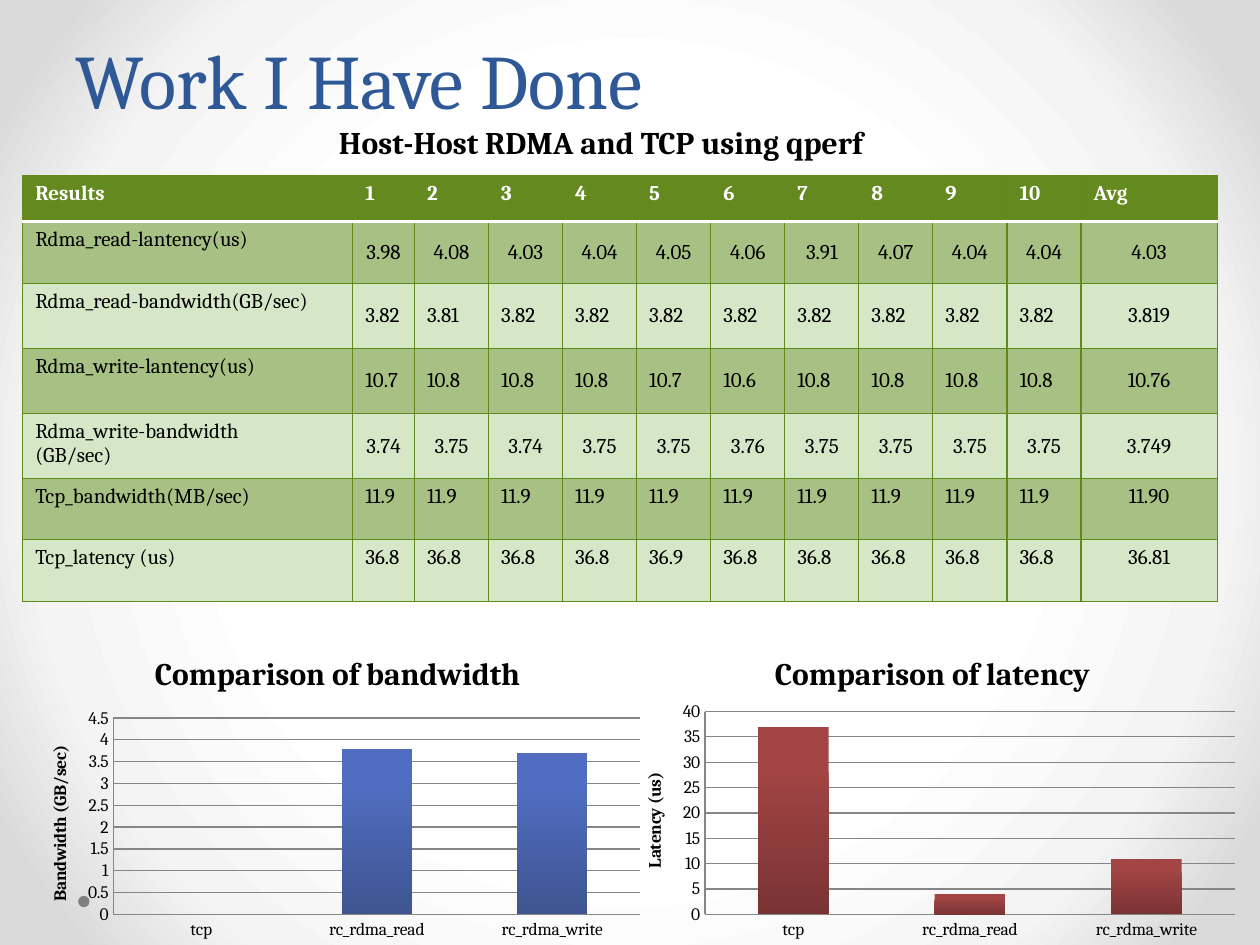
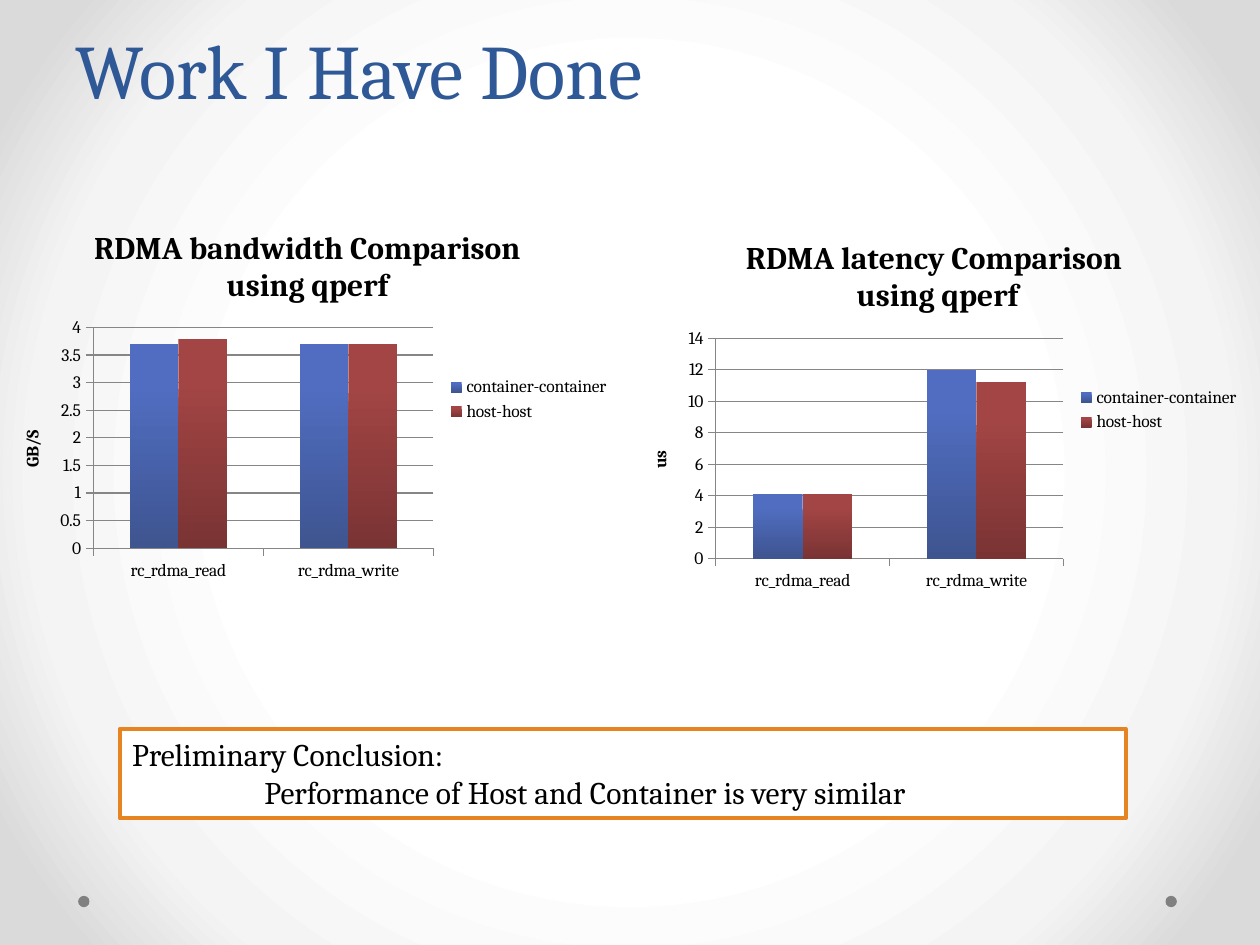
from lxml import etree
from pptx import Presentation
from pptx.chart.data import CategoryChartData
from pptx.dml.color import RGBColor
from pptx.enum.chart import XL_CHART_TYPE, XL_LEGEND_POSITION, XL_TICK_MARK
from pptx.enum.shapes import MSO_SHAPE
from pptx.enum.text import MSO_ANCHOR, PP_ALIGN
from pptx.oxml import parse_xml
from pptx.oxml.ns import nsdecls, qn
from pptx.util import Inches, Pt

COLUMN = XL_CHART_TYPE.COLUMN_CLUSTERED
LEGEND_RIGHT = XL_LEGEND_POSITION.RIGHT
TICK_NONE, TICK_OUT = XL_TICK_MARK.NONE, XL_TICK_MARK.OUTSIDE
RECT, OVAL = MSO_SHAPE.RECTANGLE, MSO_SHAPE.OVAL
TOP, MIDDLE, BOTTOM = MSO_ANCHOR.TOP, MSO_ANCHOR.MIDDLE, MSO_ANCHOR.BOTTOM
LEFT, CENTER = PP_ALIGN.LEFT, PP_ALIGN.CENTER

FONT = "Cambria"
BLACK = RGBColor(0x00, 0x00, 0x00)
WHITE = RGBColor(0xFF, 0xFF, 0xFF)
TITLE_BLUE = RGBColor(0x2F, 0x58, 0x97)
ORANGE = RGBColor(0xE6, 0x84, 0x22)
DOT_GRAY = RGBColor(0x80, 0x80, 0x80)
GRID_GRAY = RGBColor(0x86, 0x86, 0x86)
HEADER_GREEN = RGBColor(0x63, 0x89, 0x1F)
BORDER_GREEN = RGBColor(0x62, 0x89, 0x1C)
BAND_DARK = RGBColor(0xA7, 0xC1, 0x84)
BAND_LIGHT = RGBColor(0xD6, 0xE7, 0xC8)
BLUE_BARS = (RGBColor(0x50, 0x6D, 0xC1), RGBColor(0x3E, 0x55, 0x90))
RED_BARS = (RGBColor(0xA3, 0x45, 0x45), RGBColor(0x7A, 0x33, 0x33))
BACKGROUND_STOPS = {50: WHITE, 76: RGBColor(0xF4, 0xF4, 0xF4), 92: RGBColor(0xDA, 0xDA, 0xDA)}

# The slide is a grid of 100 columns and 75 rows
GRID_COLS, GRID_ROWS = 100, 75
CELL = Inches(0.1)

TABLE_COLS = [26.2, 4.9] + [5.88] * 9 + [10.8]
TABLE_ROWS = [3.7, 4.88, 5.16, 5.16, 5.16, 4.88, 4.88]
HEADER = ["Results", *map(str, range(1, 11)), "Avg"]
# label, ten runs and their average, cell format
RESULTS = [
    ("Rdma_read-lantency(us)", "3.98 4.08 4.03 4.04 4.05 4.06 3.91 4.07 4.04 4.04 4.03",
     {"anchor": MIDDLE, "compact": True, "spacing": 0.9}),
    ("Rdma_read-bandwidth(GB/sec)", "3.82 3.81" + " 3.82" * 8 + " 3.819", {"anchor": MIDDLE}),
    ("Rdma_write-lantency(us)",
     "10.7 10.8 10.8 10.8 10.7 10.6 10.8 10.8 10.8 10.8 10.76", {"anchor": MIDDLE}),
    ("Rdma_write-bandwidth\n(GB/sec)",
     "3.74 3.75 3.74 3.75 3.75 3.76 3.75 3.75 3.75 3.75 3.749",
     {"anchor": MIDDLE, "compact": True}),
    ("Tcp_bandwidth(MB/sec)", "11.9 " * 10 + "11.90", {}),
    ("Tcp_latency (us)", "36.8 " * 4 + "36.9 " + "36.8 " * 5 + "36.81", {}),
]
RDMA_TESTS = ["rc_rdma_read", "rc_rdma_write"]
ALL_TESTS = ["tcp", *RDMA_TESTS]


def grid(*cells):
    return [round(n * CELL) for n in cells]


def apply(target, values):
    for name, value in values.items():
        setattr(target, name, value)


def style_font(font, size, color=BLACK, bold=False):
    apply(font, {"name": FONT, "size": Pt(size), "bold": bold})
    font.color.rgb = color


def write(frame, text, size, color=BLACK, bold=False, **paragraph_format):
    frame.text = text
    for paragraph in frame.paragraphs:
        apply(paragraph, paragraph_format)
        style_font(paragraph.runs[0].font, size, color, bold)


def set_background(master):
    master.background.fill.solid()
    solid = master.element.xpath("p:cSld/p:bg/p:bgPr/a:solidFill")[0]
    stops = "".join(f'<a:gs pos="{share * 1000}"><a:srgbClr val="{color}"/></a:gs>'
                    for share, color in BACKGROUND_STOPS.items())
    radial = parse_xml(
        f'<a:gradFill {nsdecls("a")} rotWithShape="1"><a:gsLst>{stops}</a:gsLst>'
        '<a:path path="circle"><a:fillToRect l="50000" t="50000" r="50000" b="50000"/>'
        "</a:path></a:gradFill>")
    solid.getparent().replace(solid, radial)


def add_text(slide, area, text, size, anchor=TOP, **style):
    frame = slide.shapes.add_textbox(*grid(*area)).text_frame
    apply(frame, {"word_wrap": True, "vertical_anchor": anchor})
    write(frame, text, size, **style)


def add_panel(slide, preset, area, fill, line=None):
    panel = slide.shapes.add_shape(preset, *grid(*area))
    panel.shadow.inherit = False
    panel.fill.solid()
    panel.fill.fore_color.rgb = fill
    if line is None:
        panel.line.fill.background()
    else:
        panel.line.color.rgb = line
        panel.line.width = Pt(2.25)
    return panel


def start_slide(prs, title_rows):
    """Blank slide with the two footer dots and the title."""
    slide = prs.slides.add_slide(prs.slide_layouts[6])
    for col in (6.2, 92.5):
        add_panel(slide, OVAL, (col, 71.1, 0.9, 0.9), DOT_GRAY)
    add_text(slide, (5, 0, 90, title_rows), "Work I Have Done", 44, BOTTOM,
             color=TITLE_BLUE, line_spacing=Pt(58))
    return slide


def set_borders(cell, borders):
    properties = cell._tc.get_or_add_tcPr()
    for side, (color, width) in borders.items():
        line = etree.SubElement(properties, qn(f"a:ln{side}"), w=str(Pt(width)))
        solid = etree.SubElement(line, qn("a:solidFill"))
        etree.SubElement(solid, qn("a:srgbClr"), val=str(color))


def fill_cell(cell, text, fill, borders, color=BLACK, bold=False, align=LEFT,
              anchor=TOP, compact=False, spacing=1.0):
    set_borders(cell, borders)
    cell.fill.solid()
    cell.fill.fore_color.rgb = fill
    cell.vertical_anchor = anchor
    if compact:
        thin = Inches(0.01)
        apply(cell, {"margin_left": thin, "margin_right": thin,
                     "margin_top": thin, "margin_bottom": 0})
    write(cell.text_frame, text, 12, color, bold, alignment=align, line_spacing=spacing)


def add_results_table(slide):
    area = grid(1.8, 13.9, sum(TABLE_COLS), sum(TABLE_ROWS))
    table = slide.shapes.add_table(len(TABLE_ROWS), len(TABLE_COLS), *area).table
    for column, width in zip(table.columns, grid(*TABLE_COLS)):
        column.width = width
    for row, height in zip(table.rows, grid(*TABLE_ROWS)):
        row.height = height

    green, white = (BORDER_GREEN, 0.75), (WHITE, 2.25)
    sides = {"L": green, "R": green}
    for c, heading in enumerate(HEADER):
        fill_cell(table.cell(0, c), heading, HEADER_GREEN,
                  {**sides, "T": green, "B": white}, WHITE, bold=True)
    for r, (label, values, style) in enumerate(RESULTS, 1):
        fill = BAND_DARK if r % 2 else BAND_LIGHT
        borders = {**sides, "T": white if r == 1 else green, "B": green}
        fill_cell(table.cell(r, 0), label, fill, borders)
        for c, value in enumerate(values.split(), 1):
            centered = style.get("compact") or c == len(TABLE_COLS) - 1
            fill_cell(table.cell(r, c), value, fill, borders,
                      align=CENTER if centered else LEFT, **style)


def set_plot_area(chart, left, top, width, height):
    """Place the inner plot area, in percent of the chart."""
    plot_area = chart._chartSpace.chart.plotArea
    for old in plot_area.findall(qn("c:layout")):
        plot_area.remove(old)
    parts = "".join(f'<c:{tag} val="{percent / 100:.3f}"/>' for tag, percent in
                    zip("xywh", (left, top, width, height)))
    plot_area.insert(0, parse_xml(
        f'<c:layout {nsdecls("c")}><c:manualLayout><c:layoutTarget val="inner"/>'
        f'<c:xMode val="edge"/><c:yMode val="edge"/>{parts}</c:manualLayout></c:layout>'))


def add_column_chart(slide, area, plot_area, title, unit, top_value, step,
                     tests, series, colors, legend=False):
    data = CategoryChartData()
    data.categories = tests
    for name, values in series.items():
        data.add_series(name, values)
    chart = slide.shapes.add_chart(COLUMN, *grid(*area), data).chart
    style_font(chart.font, 10)
    chart.has_title = True
    write(chart.chart_title.text_frame, title, 18, bold=True)
    chart.chart_title.include_in_layout = False
    chart.has_legend = legend
    if legend:
        apply(chart.legend, {"position": LEGEND_RIGHT, "include_in_layout": False})
    set_plot_area(chart, *plot_area)

    # Bars
    plot = chart.plots[0]
    apply(plot, {"gap_width": 150, "overlap": 0, "vary_by_categories": False})
    for bars, shades in zip(plot.series, colors):
        fill = bars.format.fill
        fill.gradient()
        fill.gradient_angle = 270
        for stop, shade, position in zip(fill.gradient_stops, shades, (0.2, 1)):
            stop.color.rgb = shade
            stop.position = position

    # Axes
    values_axis = chart.value_axis
    apply(values_axis, {"minimum_scale": 0, "maximum_scale": top_value, "major_unit": step,
                        "has_major_gridlines": True, "has_title": True})
    write(values_axis.axis_title.text_frame, unit, 10, bold=True)
    values_axis.axis_title.text_frame._txBody.bodyPr.set("rot", "-5400000")
    values_axis.tick_labels.number_format = "General"
    values_axis.tick_labels.number_format_is_linked = False
    for axis in (values_axis, chart.category_axis):
        apply(axis, {"major_tick_mark": TICK_OUT if legend else TICK_NONE,
                     "minor_tick_mark": TICK_NONE})
    for part in (values_axis, chart.category_axis, values_axis.major_gridlines):
        part.format.line.color.rgb = GRID_GRAY
        part.format.line.width = Pt(0.75)


def add_conclusion(slide):
    box = add_panel(slide, RECT, (9.5, 57.85, 79.85, 7.1), WHITE, ORANGE)
    frame = box.text_frame
    apply(frame, {"word_wrap": True, "vertical_anchor": TOP})
    write(frame, "Preliminary Conclusion:\nPerformance of Host and Container is very similar",
          18, alignment=LEFT)
    frame.paragraphs[1]._p.get_or_add_pPr().set("marL", str(Inches(1.05)))


def build_host_slide(prs):
    slide = start_slide(prs, 10.4)
    add_results_table(slide)
    add_text(slide, (15.6, 9.3, 64.2, 4), "Host-Host RDMA and TCP using qperf", 18,
             bold=True, alignment=CENTER)
    add_column_chart(slide, (49, 50.3, 50, 24.7), (13.9, 25, 84.1, 65.2),
                     "Comparison of latency", "Latency (us)", 40, 5, ALL_TESTS,
                     {"Series 1": (37, 4, 11)}, [RED_BARS])
    add_column_chart(slide, (1.8, 50.3, 50, 24.7), (14.4, 27.1, 83.6, 63.1),
                     "Comparison of bandwidth", "Bandwidth (GB/sec)", 4.5, 0.5, ALL_TESTS,
                     {"Series 1": (0, 3.8, 3.7)}, [BLUE_BARS])


def build_container_slide(prs):
    slide = start_slide(prs, 9.6)
    add_conclusion(slide)
    add_column_chart(slide, (-0.6, 16.7, 50, 30), (16, 31, 54, 58.4),
                     "RDMA bandwidth Comparison\nusing qperf", "GB/S", 4, 0.5, RDMA_TESTS,
                     {"container-container": (3.7, 3.7), "host-host": (3.8, 3.7)},
                     [BLUE_BARS, RED_BARS], legend=True)
    add_column_chart(slide, (49.4, 17.5, 50, 30), (14.8, 31.2, 55.2, 58.3),
                     "RDMA latency Comparison \nusing qperf", "us", 14, 2, RDMA_TESTS,
                     {"container-container": (4.1, 12), "host-host": (4.1, 11.2)},
                     [BLUE_BARS, RED_BARS], legend=True)


def main():
    prs = Presentation()
    prs.slide_width, prs.slide_height = grid(GRID_COLS, GRID_ROWS)
    set_background(prs.slide_master)
    build_host_slide(prs)
    build_container_slide(prs)
    prs.save("out.pptx")


if __name__ == "__main__":
    main()
